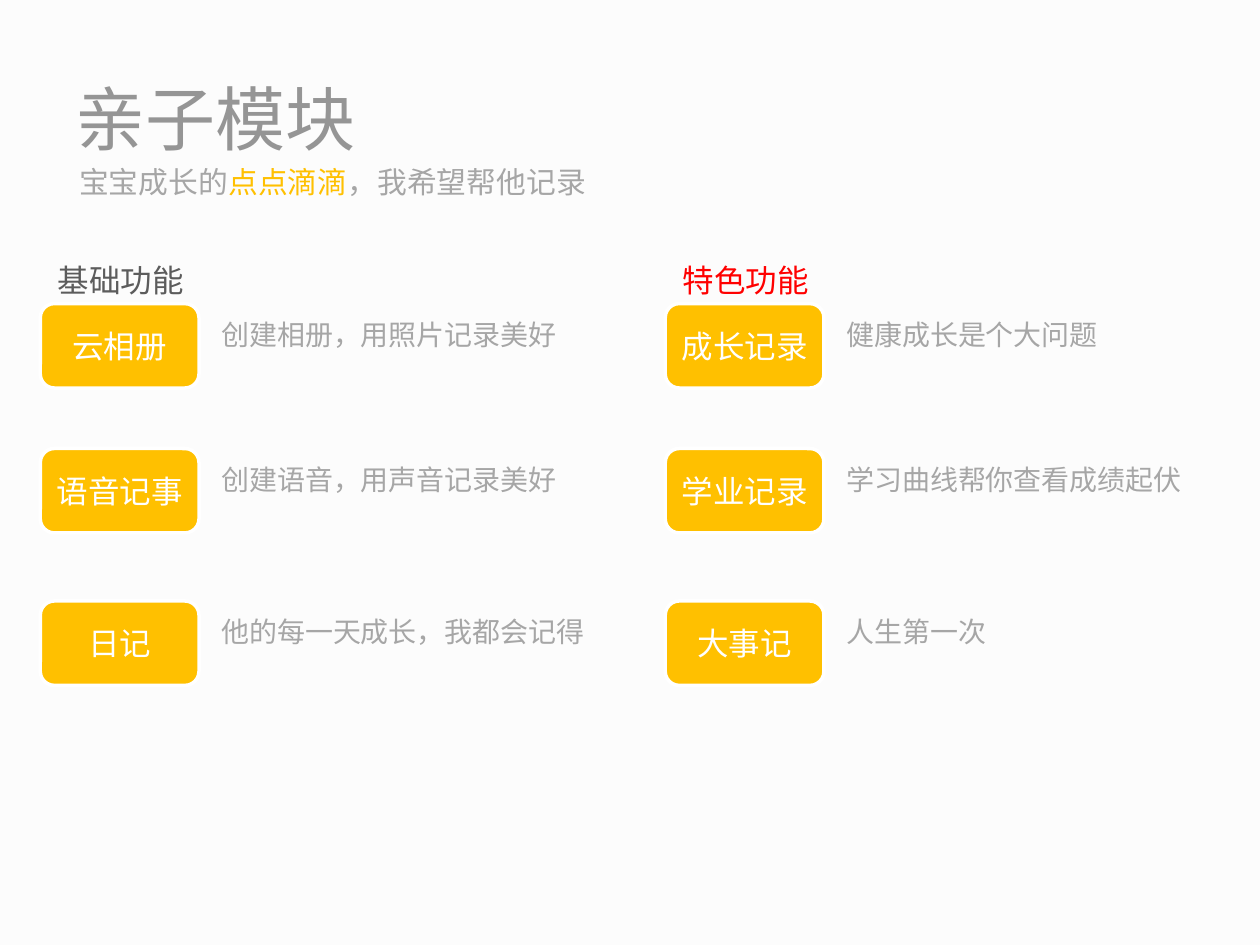
from pptx import Presentation
from pptx.dml.color import RGBColor
from pptx.enum.shapes import MSO_SHAPE
from pptx.enum.text import MSO_ANCHOR, PP_ALIGN
from pptx.util import Inches, Pt

ROUNDED = MSO_SHAPE.ROUNDED_RECTANGLE
MIDDLE, TOP = MSO_ANCHOR.MIDDLE, MSO_ANCHOR.TOP
LEFT, CENTER = PP_ALIGN.LEFT, PP_ALIGN.CENTER

AMBER, GRAY, WHITE = "FFC000", "A6A6A6", "FFFFFF"
ROW_TOPS = (0.39, 1.54, 2.75)  # below the top of a column

COLUMNS = [
    (0.32, "基础功能", "5C5C5C", [
        ("云相册", "创建相册，用照片记录美好"),
        ("语音记事", "创建语音，用声音记录美好"),
        ("日记", "他的每一天成长，我都会记得"),
    ]),
    (5.28, "特色功能", "FF0000", [
        ("成长记录", "健康成长是个大问题"),
        ("学业记录", "学习曲线帮你查看成绩起伏"),
        ("大事记", "人生第一次"),
    ]),
]


def color(hex_string):
    return RGBColor.from_string(hex_string)


def write(shape, runs, size, font="Calibri", align=LEFT, anchor=TOP, wrap=True):
    """Fill the shape with one paragraph of (text, colour) runs."""
    tf = shape.text_frame
    tf.word_wrap = wrap
    tf.vertical_anchor = anchor
    p = tf.paragraphs[0]
    p.alignment = align
    for text, hex_string in runs:
        r = p.add_run()
        r.text = text
        r.font.size = Pt(size)
        r.font.name = font
        r.font.color.rgb = color(hex_string)
    return tf


def add_text(s, x, y, w, h, runs, size, **options):
    box = s.shapes.add_textbox(Inches(x), Inches(y), Inches(w), Inches(h))
    return write(box, runs, size, **options)


def add_header(s, x, y, w):
    title = s.shapes.title
    title.left, title.top = Inches(x), Inches(y)
    title.width, title.height = Inches(w), Inches(0.78)
    write(title, [("亲子模块", "959595")], 40, font="Cabin", anchor=MIDDLE)
    subtitle = [("宝宝成长的", GRAY), ("点点滴滴", AMBER), ("，我希望帮他记录", GRAY)]
    add_text(s, x + 0.03, y + 0.64, w, 0.53, subtitle, 17, anchor=MIDDLE)


def add_feature(s, x, y, name, description):
    """Place a button with its description to the right."""
    tf = add_text(s, x + 1.34, y - 0.31, 3.23, 1.3, [(description, GRAY)], 16)
    tf.margin_top = Inches(0.42)
    button = s.shapes.add_shape(ROUNDED, Inches(x), Inches(y), Inches(1.26), Inches(0.67))
    button.shadow.inherit = False
    button.fill.solid()
    button.fill.fore_color.rgb = color(AMBER)
    button.line.color.rgb = color(WHITE)
    button.line.width = Pt(2)
    write(button, [(name, WHITE)], 18, align=CENTER, anchor=MIDDLE, wrap=False)


def add_column(s, x, y, heading, heading_color, features):
    add_text(s, x + 0.04, y, 1.23, 0.4, [(heading, heading_color)], 18, wrap=False)
    for row_top, (name, description) in zip(ROW_TOPS, features):
        add_feature(s, x, y + row_top, name, description)


def main():
    prs = Presentation()
    prs.slide_width, prs.slide_height = Inches(10), Inches(7.5)
    s = prs.slides.add_slide(prs.slide_layouts[5])
    s.background.fill.solid()
    s.background.fill.fore_color.rgb = color("FCFCFC")
    add_header(s, 0.5, 0.54, 9)
    for x, heading, heading_color, features in COLUMNS:
        add_column(s, x, 2.02, heading, heading_color, features)
    prs.save("out.pptx")


if __name__ == "__main__":
    main()
